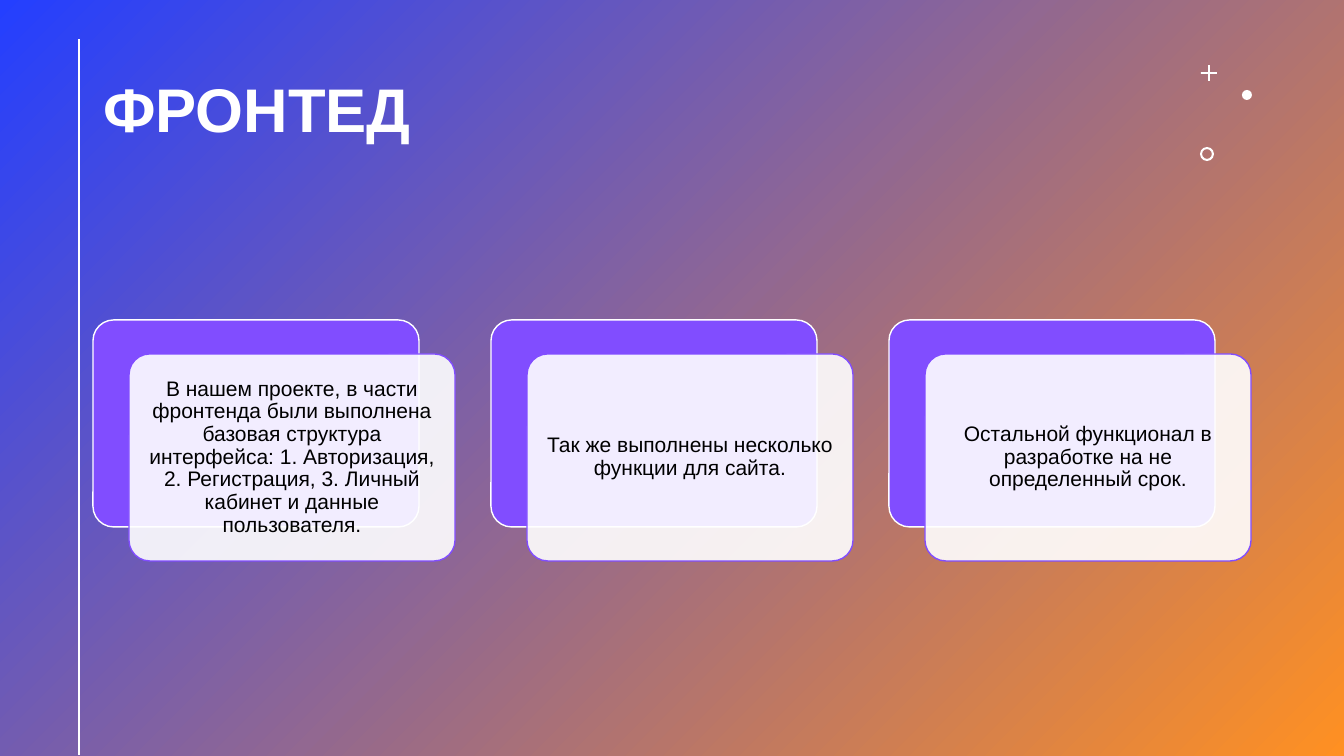
import lxml.etree
import pptx
import pptx.dml.color
import pptx.enum.shapes
import pptx.enum.text
import pptx.oxml.ns
import pptx.util

PX = 914400 / 100.8
SLIDE_W, SLIDE_H = 1344, 756
FONT = "Arial"
COLORS = {
    "blue": "243FFF",
    "orange": "FF9022",
    "violet": "814DFF",
    "white": "FFFFFF",
    "black": "000000",
}
CARD_TEXTS = [
    "В нашем проекте, в части фронтенда были выполнена базовая структура "
    "интерфейса: 1. Авторизация, 2. Регистрация, 3. Личный кабинет и данные "
    "пользователя.",
    "Так же выполнены несколько функции для сайта.",
    "Остальной функционал в разработке на не определенный срок.",
]
SHAPES = pptx.enum.shapes.MSO_SHAPE
ALIGN = pptx.enum.text.PP_ALIGN


def px(length):
    return pptx.util.Emu(round(length * PX))


def rgb(name):
    return pptx.dml.color.RGBColor.from_string(COLORS[name])


def add_box(slide, kind, box, fill=None, line=None, adjustment=None):
    """Add a preset shape without shadow; fill and line are colour names."""
    shape = slide.shapes.add_shape(kind, *map(px, box))
    shape.shadow.inherit = False
    if adjustment is not None:
        shape.adjustments[0] = adjustment
    if fill:
        shape.fill.solid()
        shape.fill.fore_color.rgb = rgb(fill)
    if line:
        shape.line.color.rgb = rgb(line)
        shape.line.width = pptx.util.Pt(1)
    else:
        shape.line.fill.background()
    return shape


def write(frame, text, size, color, align, bold=False):
    """Fill a text frame with one vertically centred paragraph."""
    frame.word_wrap = True
    frame.auto_size = pptx.enum.text.MSO_AUTO_SIZE.NONE
    frame.vertical_anchor = pptx.enum.text.MSO_ANCHOR.MIDDLE
    paragraph = frame.paragraphs[0]
    paragraph.alignment = align
    paragraph.line_spacing = 0.9
    run = paragraph.add_run()
    run.text = text
    run.font.name = FONT
    run.font.size = pptx.util.Pt(size)
    run.font.bold = bold
    run.font.color.rgb = rgb(color)


def add_backdrop(slide, box):
    backdrop = add_box(slide, SHAPES.RECTANGLE, box)
    backdrop.fill.gradient()
    backdrop.fill.gradient_angle = 315
    for stop, color in zip(backdrop.fill.gradient_stops, ("blue", "orange")):
        stop.color.rgb = rgb(color)


def add_title(slide, box):
    title = slide.shapes.title
    title.left, title.top, title.width, title.height = map(px, box)
    write(title.text_frame, "ФРОНТЕД", 44, "white", ALIGN.LEFT, bold=True)
    # Bring the title in front of the backdrop
    slide.shapes.element.append(title.element)


def add_side_line(slide, x, top, bottom):
    side_line = slide.shapes.add_connector(
        pptx.enum.shapes.MSO_CONNECTOR.STRAIGHT, *map(px, (x, top, x, bottom)))
    side_line.line.color.rgb = rgb("white")
    side_line.line.width = pptx.util.Pt(2)
    lxml.etree.SubElement(side_line.element.spPr,
                          pptx.oxml.ns.qn("a:effectLst"))


def add_ornaments(slide, box):
    """Place a plus, a dot and a ring in the corner box."""
    left, top, width, height = box
    add_box(slide, SHAPES.CROSS, (left + 1, top, 16, 16), "white",
            adjustment=0.44)
    add_box(slide, SHAPES.OVAL, (left + width - 10, top + 25, 10, 10), "white")
    add_box(slide, SHAPES.DONUT, (left, top + height - 14, 14, 14), "white",
            adjustment=0.15)


def add_card(slide, box, text):
    """Place a violet plate and a translucent text card shifted over it."""
    left, top, width, height = box
    shift_x, shift_y = 36, 34
    size = (width - shift_x, height - shift_y)
    add_box(slide, SHAPES.ROUNDED_RECTANGLE, (left, top, *size),
            "violet", "white", 0.1)
    card = add_box(slide, SHAPES.ROUNDED_RECTANGLE,
                   (left + shift_x, top + shift_y, *size),
                   "white", "violet", 0.1)
    fill_color = card.fill._xPr.find(".//" + pptx.oxml.ns.qn("a:srgbClr"))
    lxml.etree.SubElement(fill_color, pptx.oxml.ns.qn("a:alpha"), val="90000")
    frame = card.text_frame
    frame.margin_left = frame.margin_right = px(12)
    frame.margin_top = frame.margin_bottom = px(12)
    write(frame, text, 15, "black", ALIGN.CENTER)


def add_cards(slide, box):
    left, top, width, height = box
    gap = 36
    card_width = (width - gap * (len(CARD_TEXTS) - 1)) / len(CARD_TEXTS)
    for index, text in enumerate(CARD_TEXTS):
        card_left = left + index * (card_width + gap)
        add_card(slide, (card_left, top, card_width, height), text)


def main():
    deck = pptx.Presentation()
    deck.slide_width, deck.slide_height = px(SLIDE_W), px(SLIDE_H)
    slide = deck.slides.add_slide(deck.slide_layouts.get_by_name("Title Only"))
    add_backdrop(slide, (0, 0, SLIDE_W, SLIDE_H))
    add_title(slide, (93, 40, 1081, 146))
    add_side_line(slide, 79, 39, 755)
    add_ornaments(slide, (1200, 65, 52, 96))
    add_cards(slide, (93, 320, 1158, 241))
    deck.save("out.pptx")


if __name__ == "__main__":
    main()
